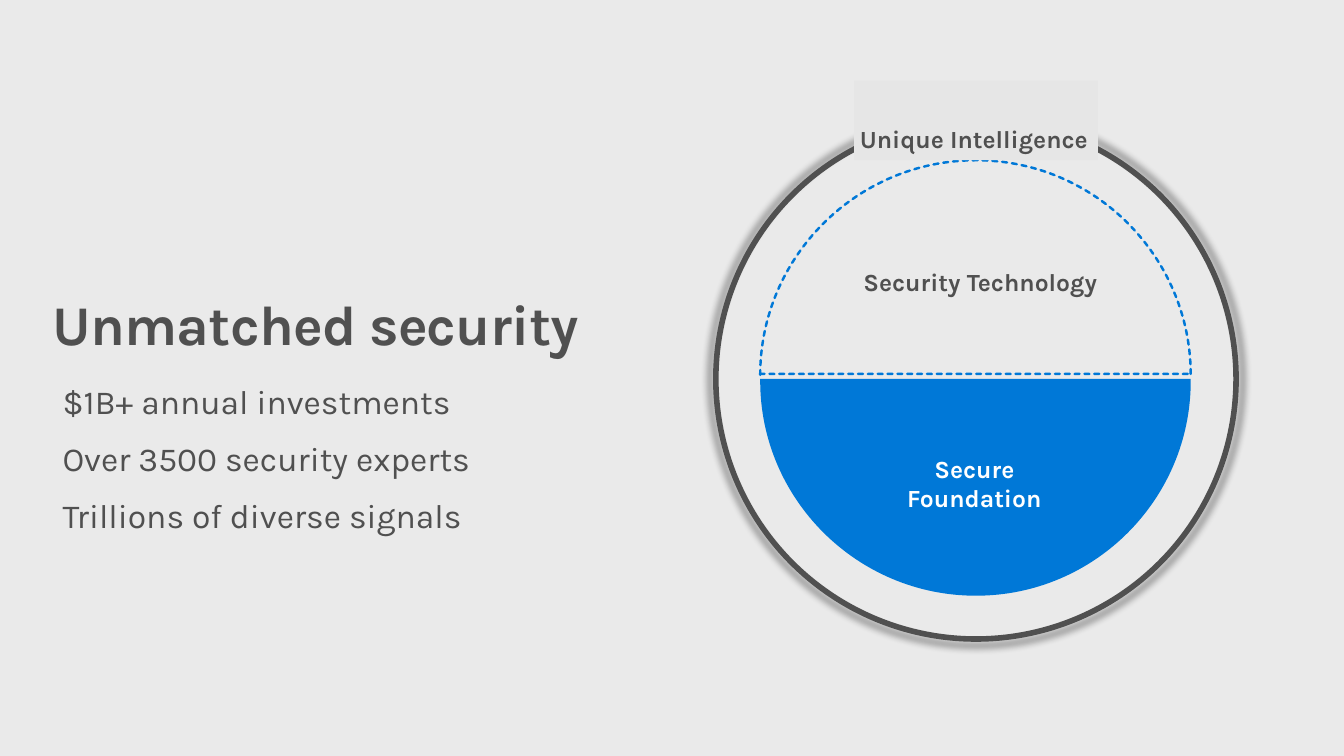
from pptx import Presentation
from pptx import util as u
from pptx.dml.color import RGBColor
from pptx.enum import dml, shapes, text
from pptx.oxml import parse_xml
from pptx.oxml.ns import nsdecls, qn

PX = 9144
BACKGROUND = RGBColor(0xEA, 0xEA, 0xEA)
PATCH = RGBColor(0xE6, 0xE6, 0xE6)
GRAY = RGBColor(0x50, 0x50, 0x50)
BLUE = RGBColor(0x00, 0x78, 0xD7)
WHITE = RGBColor(0xFF, 0xFF, 0xFF)

presentation = Presentation()
presentation.slide_width = 1333 * PX
presentation.slide_height = 750 * PX
slide = presentation.slides.add_slide(presentation.slide_layouts[6])
slide.background.fill.solid()
slide.background.fill.fore_color.rgb = BACKGROUND


def add_text(lines, box, size=17.6, color=GRAY, bold=True, align=text.PP_ALIGN.CENTER,
             after=0, spacing=0, wrap=True):
    shape = slide.shapes.add_textbox(*(value * PX for value in box))
    frame = shape.text_frame
    frame.margin_left = frame.margin_top = frame.margin_right = frame.margin_bottom = 0
    frame.word_wrap = wrap
    for index, line in enumerate(lines):
        paragraph = frame.paragraphs[0] if index == 0 else frame.add_paragraph()
        paragraph.text = line
        paragraph.alignment = align
        paragraph.space_after = u.Pt(after)
        for run in paragraph.runs:
            run.font.name = "Karla"
            run.font.size = u.Pt(size)
            run.font.bold = bold
            run.font.color.rgb = color
            if spacing:
                run.font._element.set("spc", str(spacing))


def add_half_disc(arc_y, flat_y, tip_y):
    left, middle, right = 754, 968, 1181
    handle_x, handle_y = 118, round((tip_y - arc_y) * 0.55)
    curve = [(left, arc_y + handle_y), (middle - handle_x, tip_y), (middle, tip_y),
             (middle + handle_x, tip_y), (right, arc_y + handle_y), (right, arc_y)]
    builder = slide.shapes.build_freeform(left, arc_y, scale=PX)
    builder.add_line_segments(curve + [(right, flat_y), (left, flat_y)], close=True)
    shape = builder.convert_to_shape()
    shape.shadow.inherit = False
    segments = list(shape._element.iter(qn("a:lnTo")))
    for start in (0, 3):
        bezier = parse_xml(f'<a:cubicBezTo {nsdecls("a")}/>')
        segments[start].addprevious(bezier)
        for segment in segments[start:start + 3]:
            bezier.append(segment[0])
            segment.getparent().remove(segment)
    return shape


add_text(["$1B+ annual investments", "Over 3500 security experts", "Trillions of diverse signals"],
         (62, 378, 429, 157), size=24, bold=False, align=text.PP_ALIGN.LEFT, after=12)
add_text(["Unmatched security"], (52, 287, 538, 67), size=40, align=text.PP_ALIGN.LEFT, spacing=-50)

technology = add_half_disc(372, 371, 159)
technology.fill.background()
technology.line.color.rgb = BLUE
technology.line.width = u.Pt(1.75)
technology.line.dash_style = dml.MSO_LINE.SQUARE_DOT
technology.line._ln.set("cap", "rnd")

foundation = add_half_disc(378, 376, 591)
foundation.fill.solid()
foundation.fill.fore_color.rgb = BLUE
foundation.line.fill.background()

ring = slide.shapes.add_shape(shapes.MSO_SHAPE.OVAL, 710 * PX, 118 * PX, 516 * PX, 516 * PX)
ring.fill.background()
ring.line.color.rgb = GRAY
ring.line.width = u.Pt(4)
ring._element.spPr.append(parse_xml(
    f'<a:effectLst {nsdecls("a")}><a:outerShdw blurRad="63500" sx="102000" sy="102000" algn="ctr" '
    'rotWithShape="0"><a:srgbClr val="000000"><a:alpha val="40000"/></a:srgbClr>'
    '</a:outerShdw></a:effectLst>'))

patch = slide.shapes.add_shape(shapes.MSO_SHAPE.RECTANGLE, 847 * PX, 80 * PX, 242 * PX, 79 * PX)
patch.shadow.inherit = False
patch.fill.solid()
patch.fill.fore_color.rgb = PATCH
patch.line.fill.background()

add_text(["Unique Intelligence"], (707, 123, 518, 505))
add_text(["Secure\vFoundation"], (858, 450, 217, 30), color=WHITE, wrap=False)
add_text(["Security Technology"], (846, 265, 253, 30))

presentation.save("out.pptx")
